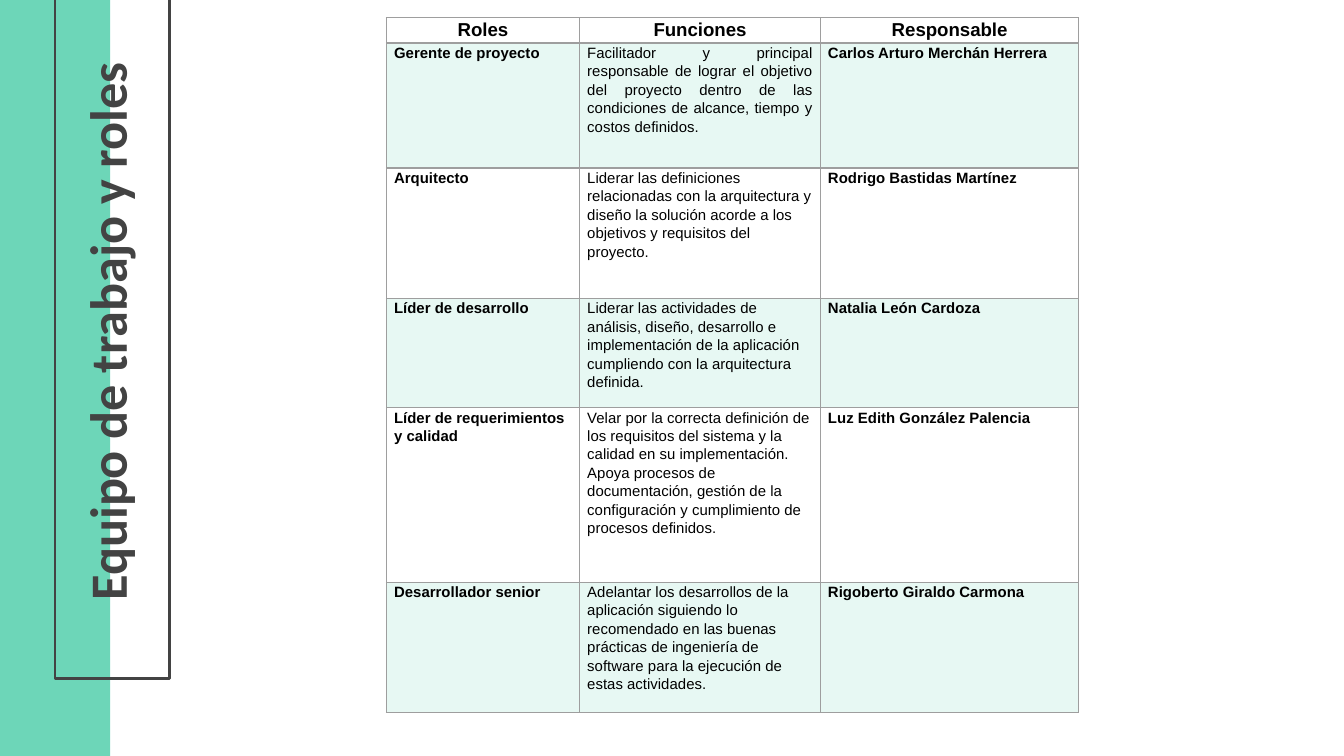
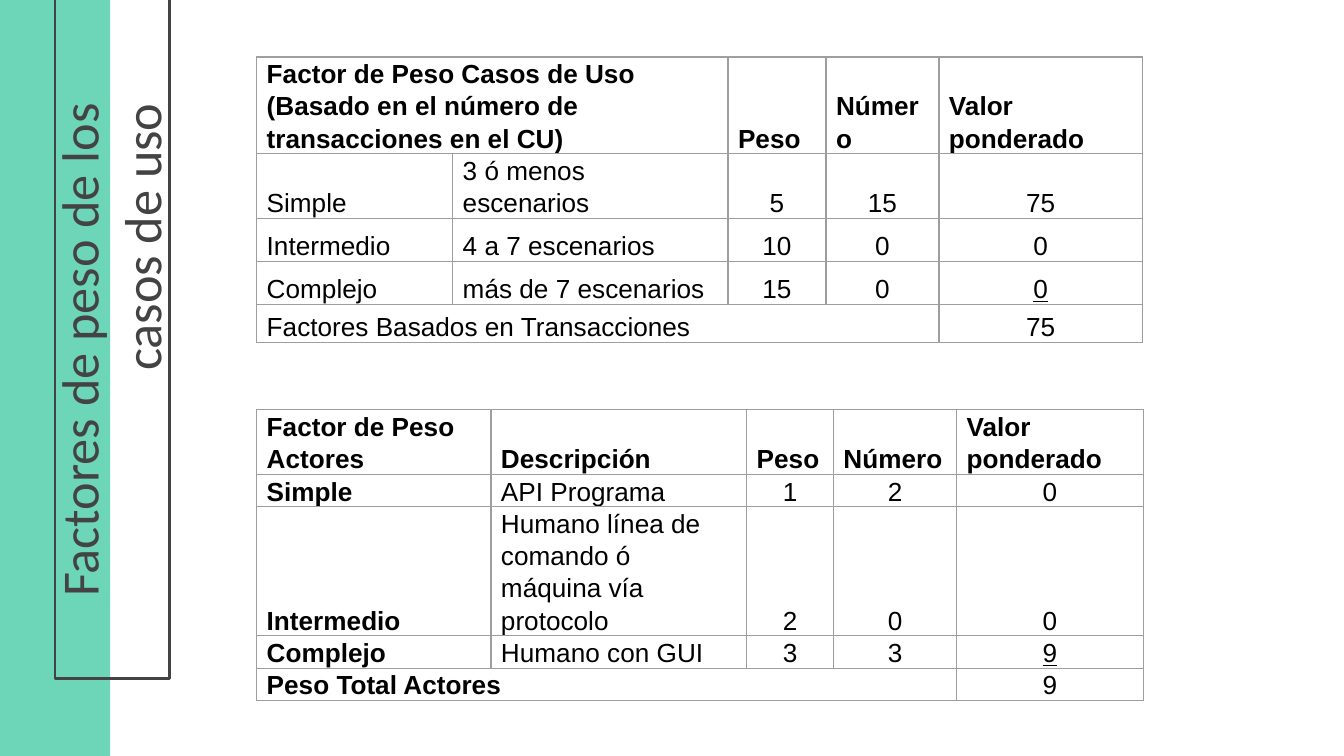
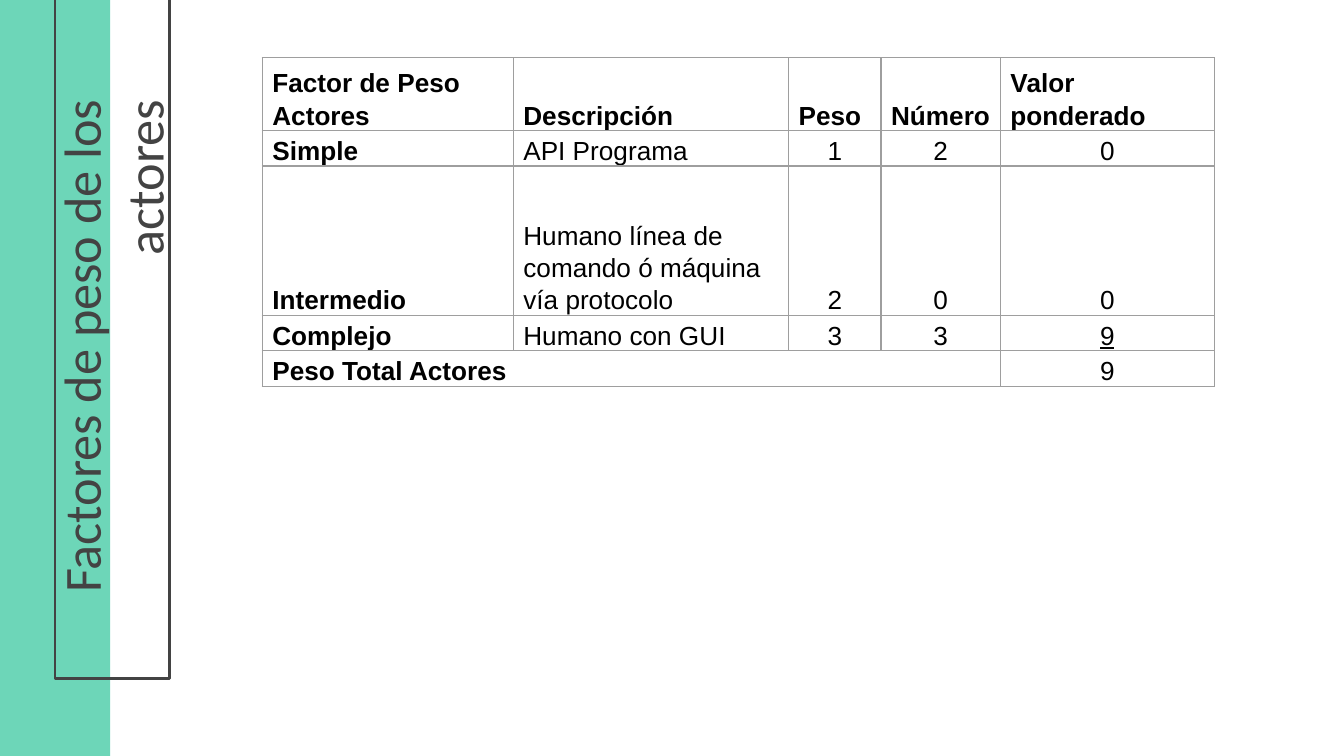
from lxml.etree import SubElement
from pptx import Presentation
from pptx.dml.color import RGBColor
from pptx.enum.shapes import MSO_SHAPE
from pptx.enum.text import MSO_ANCHOR, MSO_AUTO_SIZE, PP_ALIGN
from pptx.oxml.ns import qn
from pptx.util import Pt

MINT = RGBColor(0x6D, 0xD6, 0xB8)
CHARCOAL = RGBColor(0x43, 0x43, 0x43)
BLACK = RGBColor(0, 0, 0)
GRID_GRAY = RGBColor(0x9E, 0x9E, 0x9E)
TITLE_FONT = "Calibri"
TABLE_FONT = "Arial"

ROLES = [
    ["Roles", "Funciones", "Responsable"],
    ["Gerente de proyecto",
     "Facilitador y principal responsable de lograr el objetivo del proyecto dentro de las "
     "condiciones de alcance, tiempo y costos definidos.",
     "Carlos Arturo Merchán Herrera"],
    ["Arquitecto",
     "Liderar las definiciones relacionadas con la arquitectura y diseño la solución acorde a "
     "los objetivos y requisitos del proyecto.",
     "Rodrigo Bastidas Martínez"],
    ["Líder de desarrollo",
     "Liderar las actividades de análisis, diseño, desarrollo e implementación de la aplicación "
     "cumpliendo con la arquitectura definida.",
     "Natalia León Cardoza"],
    ["Líder de requerimientos y calidad",
     "Velar por la correcta definición de los requisitos del sistema y la calidad en su "
     "implementación. Apoya procesos de documentación, gestión de la configuración y "
     "cumplimiento de procesos definidos.",
     "Luz Edith González Palencia"],
    ["Desarrollador senior",
     "Adelantar los desarrollos de la aplicación siguiendo lo recomendado en las buenas "
     "prácticas de ingeniería de software para la ejecución de estas actividades.",
     "Rigoberto Giraldo Carmona"],
]
USE_CASES = [
    ["Factor de Peso Casos de Uso (Basado en el número de transacciones en el CU)", None,
     "Peso", "Número", "Valor ponderado"],
    ["Simple", "3 ó menos escenarios", "5", "15", "75"],
    ["Intermedio", "4 a 7 escenarios", "10", "0", "0"],
    ["Complejo", "más de 7 escenarios", "15", "0", "0"],
    ["Factores Basados en Transacciones", None, None, None, "75"],
]
ACTORS = [
    ["Factor de Peso Actores", "Descripción", "Peso", "Número", "Valor ponderado"],
    ["Simple", "API Programa", "1", "2", "0"],
    ["Intermedio", "Humano línea de comando ó máquina vía protocolo", "2", "0", "0"],
    ["Complejo", "Humano con GUI", "3", "3", "9"],
    ["Peso Total Actores", None, None, None, "9"],
]


def write_text(frame, text, *, font, size, color, bold=False, underline=False,
               align=PP_ALIGN.LEFT, line_spacing=None, space_after=0):
    paragraph = frame.paragraphs[0]
    paragraph.alignment = align
    paragraph.line_spacing = line_spacing
    paragraph.space_after = Pt(space_after)
    run = paragraph.add_run()
    run.text = text
    run.font.name = font
    run.font.size = Pt(size)
    run.font.color.rgb = color
    run.font.bold = bold
    run.font.underline = underline


def decorate_layout(layout, slide):
    band = slide.shapes.add_shape(MSO_SHAPE.RECTANGLE, Pt(-1.5), Pt(-3), Pt(60.5), Pt(408))
    band.fill.solid()
    band.fill.fore_color.rgb = MINT
    band.line.fill.background()
    title_frame = slide.shapes.add_shape(MSO_SHAPE.RECTANGLE, Pt(29.5), Pt(-6.5), Pt(61.5), Pt(370))
    title_frame.fill.background()
    title_frame.line.color.rgb = CHARCOAL
    title_frame.line.width = Pt(1.5)
    for position, part in enumerate((band, title_frame)):
        part.shadow.inherit = False
        part.element.nvSpPr.cNvPr.set("id", str(100 + position))
        layout.shapes.element.insert(2 + position, part.element)


def add_side_title(slide, text, box, bold=False, inset_top=7.2, inset_bottom=7.2):
    title = slide.shapes.title
    title.left, title.top, title.width, title.height = map(Pt, box)
    title.rotation = 270
    frame = title.text_frame
    frame.auto_size = MSO_AUTO_SIZE.NONE
    frame.word_wrap = True
    frame.vertical_anchor = MSO_ANCHOR.BOTTOM
    frame.margin_left = frame.margin_right = Pt(7.2)
    frame.margin_top, frame.margin_bottom = Pt(inset_top), Pt(inset_bottom)
    write_text(frame, text, font=TITLE_FONT, size=28, color=CHARCOAL, bold=bold,
               align=PP_ALIGN.RIGHT)


def draw_borders(cell):
    properties = cell._tc.get_or_add_tcPr()
    for side in ("a:lnL", "a:lnR", "a:lnT", "a:lnB"):
        line = SubElement(properties, qn(side), w=str(Pt(0.75)))
        SubElement(SubElement(line, qn("a:solidFill")), qn("a:srgbClr"), val=str(GRID_GRAY))


def fill_cell(cell, tinted):
    if not tinted:
        cell.fill.background()
        return
    cell.fill.solid()
    cell.fill.fore_color.rgb = MINT
    tint = cell._tc.tcPr.find(qn("a:solidFill")).find(qn("a:srgbClr"))
    SubElement(tint, qn("a:alpha"), val="16000")


def add_grid(slide, rows, box, widths, heights, text_format, *, inset=5.4,
             anchor=MSO_ANCHOR.BOTTOM, tinted=lambda row: False):
    left, top = box
    table = slide.shapes.add_table(len(rows), len(widths), Pt(left), Pt(top),
                                   Pt(sum(widths)), Pt(sum(heights))).table
    table.first_row = table.horz_banding = False
    for column, width in zip(table.columns, widths):
        column.width = Pt(width)
    for row, height in zip(table.rows, heights):
        row.height = Pt(height)
    for r, values in enumerate(rows):
        for c, value in enumerate(values):
            cell = table.cell(r, c)
            cell.margin_left = cell.margin_right = Pt(inset)
            cell.margin_top = cell.margin_bottom = 0
            cell.vertical_anchor = anchor
            draw_borders(cell)
            fill_cell(cell, tinted(r))
            if value is not None:
                write_text(cell.text_frame, value, font=TABLE_FONT, color=BLACK,
                           line_spacing=1.1, space_after=6, **text_format(r, c, value))
        if None in values:
            last = len(values) - 1 - values[::-1].index(None)
            table.cell(r, 0).merge(table.cell(r, last))


def roles_format(row, column, value):
    if row == 0:
        return dict(size=10, bold=True, align=PP_ALIGN.CENTER)
    justified = (row, column) == (1, 1)
    return dict(size=8, bold=column != 1,
                align=PP_ALIGN.JUSTIFY if justified else PP_ALIGN.LEFT)


def weights_format(row, column, value):
    return dict(size=14, bold=row == 0, underline=(row, column) == (3, 4),
                align=PP_ALIGN.CENTER if value.isdigit() else PP_ALIGN.LEFT)


def actors_format(row, column, value):
    return {**weights_format(row, column, value), "bold": row == 0 or column == 0}


def build_roles(slide):
    add_side_title(slide, "Equipo de trabajo y roles", (-142, 204, 400.5, 45), bold=True)
    add_grid(slide, ROLES, (207, 9.5), [103.5, 129, 138.5], [13.5, 67, 70, 58.5, 93.5, 70],
             roles_format, inset=4.1, anchor=MSO_ANCHOR.TOP, tinted=lambda row: row % 2 == 1)


def build_use_case_weights(slide):
    add_side_title(slide, "Factores de peso de los casos de uso", (-66.5, 169, 286.5, 45))
    add_grid(slide, USE_CASES, (137.5, 30.5), [105, 147.5, 52.5, 60.5, 109],
             [40.5, 23, 23, 23, 20.5], weights_format)
    add_grid(slide, ACTORS, (137.5, 219.5), [125.5, 137, 46.5, 66, 100],
             [14, 15, 25, 15, 14], actors_format)


def build_actor_weights(slide):
    add_side_title(slide, "Factores de peso de los actores", (-44.5, 180, 312.5, 45),
                   inset_top=0, inset_bottom=41)
    add_grid(slide, ACTORS, (140.5, 31), [134.5, 147.5, 49.5, 64, 114.5],
             [39, 19, 80, 19, 19], actors_format)


def main():
    deck = Presentation()
    deck.slide_width, deck.slide_height = Pt(720), Pt(405)
    layout = deck.slide_layouts[5]
    builders = (build_roles, build_use_case_weights, build_actor_weights)
    slides = [deck.slides.add_slide(layout) for _ in builders]
    decorate_layout(layout, slides[0])
    for build, slide in zip(builders, slides):
        build(slide)
    deck.save("out.pptx")


if __name__ == "__main__":
    main()
